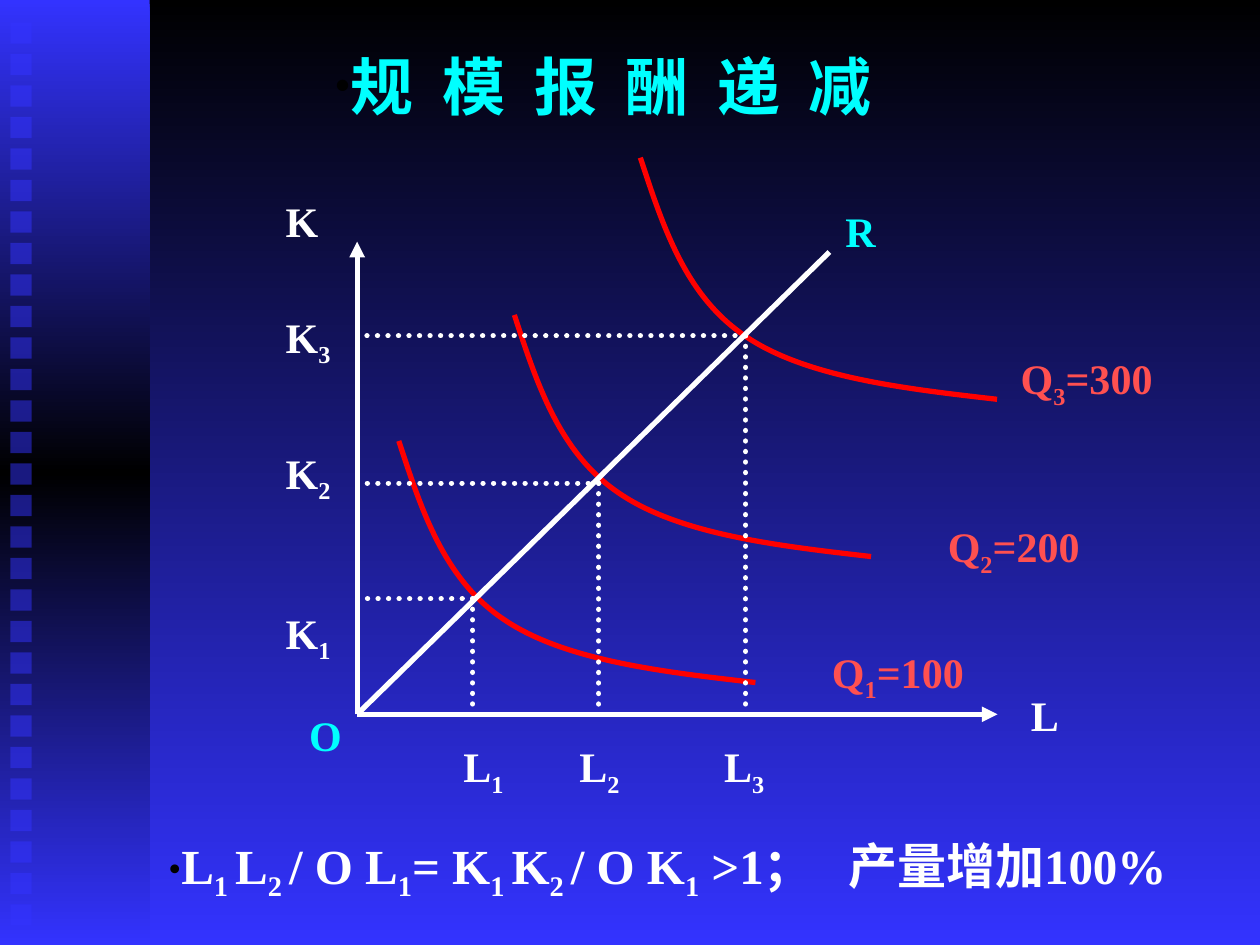
from copy import deepcopy

from lxml.etree import SubElement
from pptx import Presentation
from pptx.dml.color import RGBColor
from pptx.enum.dml import MSO_LINE as Dash
from pptx.enum.shapes import MSO_CONNECTOR as Link, MSO_SHAPE as Preset
from pptx.enum.text import MSO_ANCHOR as Anchor, MSO_AUTO_SIZE as AutoSize, PP_ALIGN as Align
from pptx.oxml.ns import qn
from pptx.util import Cm, Pt

BLUE, BLACK, WHITE = "3333FF", "000000", "FFFFFF"
CYAN, RED, CORAL = "00FFFF", "FF0000", "FF5050"
FONT = "Times New Roman"
LINE_WIDTH = Pt(3)
CURVE = [(0, 0), (0.46, 1.4), (0.91, 2.79), (2.12, 3.6), (3.33, 4.42), (5.26, 4.65), (7.19, 4.87)]


def color(value):
    return RGBColor.from_string(value)


def paint_gradient(fill, first, last):
    fill.gradient()
    fill.gradient_angle = 270
    for stop, value in zip(fill.gradient_stops, (first, last)):
        stop.color.rgb = color(value)


def add_block(page, left, top, width, height):
    block = page.shapes.add_shape(Preset.RECTANGLE, Cm(left), Cm(top), Cm(width), Cm(height))
    block.shadow.inherit = False
    block.line.fill.background()
    return block


def add_line(page, start, end, dotted=False, arrow=False):
    line = page.shapes.add_connector(Link.STRAIGHT, *map(Cm, (*start, *end)))
    line.line.color.rgb = color(WHITE)
    line.line.width = LINE_WIDTH
    if dotted:
        line.line.dash_style = Dash.ROUND_DOT
        line.line._ln.set("cap", "rnd")
    if arrow:
        SubElement(line.line._ln, qn("a:tailEnd"), type="triangle")
    SubElement(line._element.spPr, qn("a:effectLst"))


def add_curve(page, left, top):
    points = [(Cm(left + x), Cm(top + y)) for x, y in CURVE]
    builder = page.shapes.build_freeform(*points[0])
    builder.add_line_segments(points[1:], close=False)
    curve = builder.convert_to_shape()
    curve.shadow.inherit = False
    curve.fill.background()
    curve.line.color.rgb = color(RED)
    curve.line.width = LINE_WIDTH
    segments = curve._element.xpath(".//a:lnTo")
    for first in range(0, len(segments), 3):
        bend = SubElement(segments[first].getparent(), qn("a:cubicBezTo"))
        for segment in segments[first:first + 3]:
            bend.append(segment[0])
            segment.getparent().remove(segment)


def add_span(para, text, size, value, subscript=False, spacing=0):
    span = para.add_run()
    span.text = text
    span.font.name = FONT
    span.font.size = Pt(size)
    span.font.bold = True
    span.font.color.rgb = color(value)
    properties = span._r.get_or_add_rPr()
    if subscript:
        properties.set("baseline", "-25000")
    if spacing:
        properties.set("spc", str(spacing))


def add_formula(para, text, size, value):
    for index, part in enumerate(text.split("_")):
        add_span(para, part, size, value, subscript=index % 2 == 1)


def add_label(page, left, top, width, text, value=WHITE, align=Align.LEFT):
    box = page.shapes.add_textbox(Cm(left), Cm(top), Cm(width), Cm(1.27))
    box.text_frame.word_wrap = True
    para = box.text_frame.paragraphs[0]
    para.alignment = align
    add_formula(para, text, 24, value)


def prepare_line(holder, left, top, width, height):
    holder.left, holder.top, holder.width, holder.height = map(Cm, (left, top, width, height))
    frame = holder.text_frame
    frame.word_wrap = True
    frame.auto_size = AutoSize.NONE
    frame.vertical_anchor = Anchor.TOP
    para = frame.paragraphs[0]
    properties = para._p.get_or_add_pPr()
    properties.set("marL", "0")
    properties.set("indent", "0")
    tint = SubElement(properties, qn("a:buClr"))
    SubElement(tint, qn("a:srgbClr"), val=BLACK)
    SubElement(properties, qn("a:buSzPct"), val="75000")
    SubElement(properties, qn("a:buFont"), typeface=FONT)
    SubElement(properties, qn("a:buChar"), char="•")
    para.alignment = Align.CENTER
    para.space_before = Pt(0)
    return para


def build_sidebar(page, left, top, width, height):
    band = add_block(page, left, top, width, height)
    paint_gradient(band.fill, BLUE, BLUE)
    stops = band._element.xpath(".//a:gsLst/a:gs")
    middle = deepcopy(stops[0])
    stops[0].addnext(middle)
    band.fill.gradient_stops[1].position = 0.5
    band.fill.gradient_stops[1].color.rgb = color(BLACK)
    for row in range(29):
        square = add_block(page, left + 0.21, top + 0.45 + row * 0.635, 0.43, 0.43)
        square.fill.solid()
        square.fill.fore_color.rgb = color(BLUE)
        tint = square._element.xpath("./p:spPr/a:solidFill/a:srgbClr")[0]
        SubElement(tint, qn("a:alpha"), val="50000")


def build_diagram(page, left, top):
    def at(x, y):
        return left + x, top + y

    origin_x, origin_y = 2.12, 11.22
    origin = at(origin_x, origin_y)
    for x, y in [(2.96, 5.71), (5.29, 3.17), (7.83, 0)]:
        add_curve(page, *at(x, y))
    for end in [(15.03, origin_y), (origin_x, 1.69)]:
        add_line(page, origin, at(*end), arrow=True)
    add_line(page, origin, at(11.64, 1.9))
    for x, y in [(4.45, 8.89), (6.99, 6.56), (9.95, 3.59)]:
        add_line(page, at(x, y), at(x, origin_y), dotted=True)
        add_line(page, at(x, y), at(origin_x, y), dotted=True)

    for text, y in [("K", 0.63), ("K_3", 2.97), ("K_2", 5.71), ("K_1", 8.94)]:
        add_label(page, *at(0.43, y), 2.33, text)
    for text, x in [("L_1", 4.01), ("L_2", 6.35), ("L_3", 9.27)]:
        add_label(page, *at(x, 11.63), 2.33, text)
    add_label(page, *at(15.45, 10.59), 2.33, "L")
    for text, x, y, width, value in [
        ("Q_1_=100", 10.16, 9.72, 5.72, CORAL),
        ("Q_2_=200", 11.86, 7.19, 6.99, CORAL),
        ("Q_3_=300", 14.18, 3.81, 5.29, CORAL),
        ("R", 11, 0.84, 2.54, CYAN),
        ("O", 0, 11, 2.96, CYAN),
    ]:
        add_label(page, *at(x, y), width, text, value, Align.CENTER)


def build_title(page, left, top, width, height):
    para = prepare_line(page.shapes.title, left, top, width, height)
    add_span(para, "规 模 报 酬 递 减", 36, CYAN, spacing=410)


def build_conclusion(page, left, top, width, height):
    para = prepare_line(page.placeholders[1], left, top, width, height)
    add_formula(para, "L_1 _L_2 _/ O L_1_= K_1 _K_2 _/ O K_1_ >1；", 28, WHITE)
    add_span(para, " ", 28, WHITE, spacing=1400)
    add_span(para, "产量增加100%", 28, WHITE)


def main():
    deck = Presentation()
    deck.slide_width, deck.slide_height = Cm(25.4), Cm(19.05)
    page = deck.slides.add_slide(deck.slide_layouts[1])
    paint_gradient(page.background.fill, BLACK, BLUE)
    build_sidebar(page, 0, 0, 3.02, 19.05)
    build_title(page, 5.28, 0.84, 13.77, 1.78)
    build_diagram(page, 5.08, 3.18)
    build_conclusion(page, 2.34, 16.71, 22.23, 1.6)
    deck.save("out.pptx")


if __name__ == "__main__":
    main()
